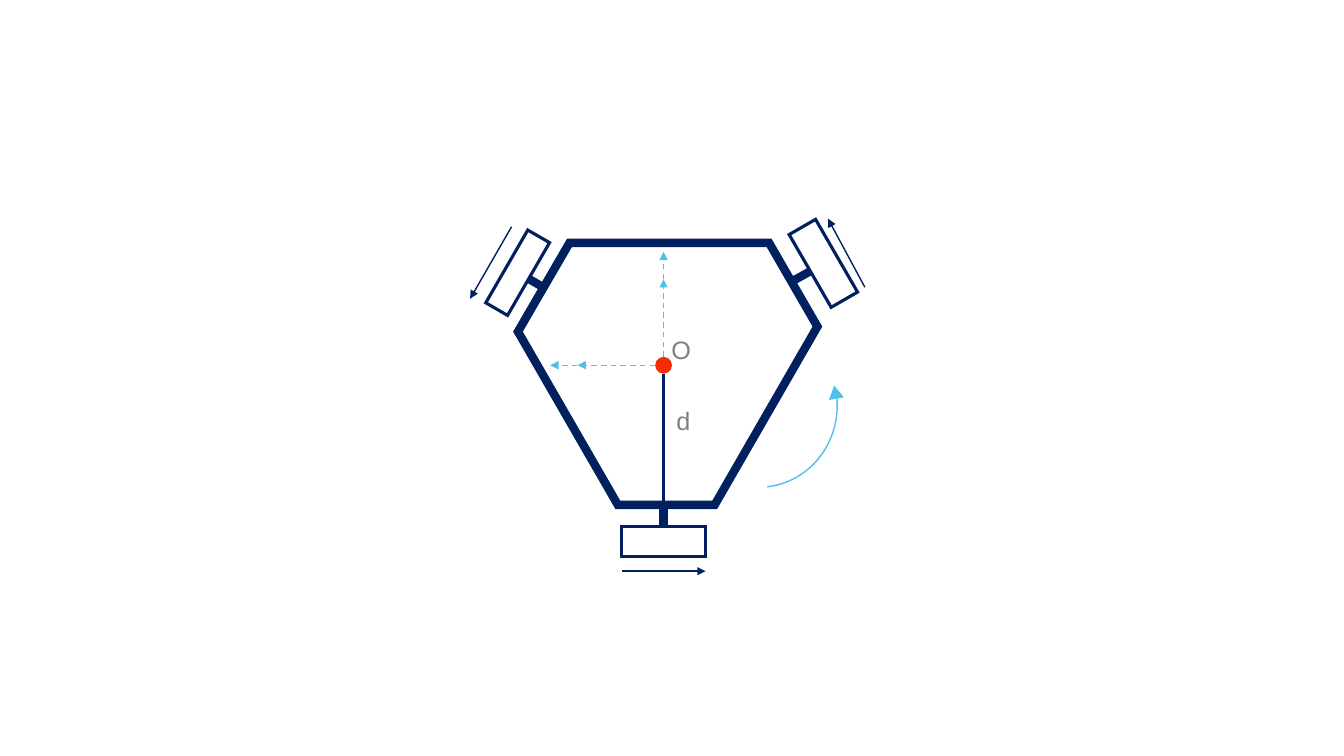
from dataclasses import dataclass

from lxml import etree
from pptx import Presentation
from pptx.dml.color import RGBColor
from pptx.enum.dml import MSO_LINE
from pptx.enum.shapes import MSO_CONNECTOR, MSO_SHAPE
from pptx.enum.text import MSO_AUTO_SIZE
from pptx.oxml.ns import qn
from pptx.util import Pt

ARC, OVAL = MSO_SHAPE.ARC, MSO_SHAPE.OVAL
RECT, HEAD = MSO_SHAPE.RECTANGLE, MSO_SHAPE.ISOSCELES_TRIANGLE
STRAIGHT, DASH = MSO_CONNECTOR.STRAIGHT, MSO_LINE.DASH
FIT = MSO_AUTO_SIZE.SHAPE_TO_FIT_TEXT


@dataclass(frozen=True)
class Theme:
    navy: str = "002060"
    sky: str = "4FC1E9"
    red: str = "F62D04"
    gray: str = "808080"
    font: str = "Arial"
    size: float = 18
    thick: float = 6
    mid: float = 2.25
    thin: float = 1


THEME = Theme()
# Robot centre, in points
MID_X, MID_Y = 474, 260.9
BODY = [(370, 236.9), (406.8, 173.5), (549.4, 173.5),
        (583.9, 233.3), (510.5, 360.7), (441.4, 360.7)]
# Wheel frame (left, top, width, height), turn, axle ends, drive arrow ends
WHEELS = [
    ((339.8, 185.8, 60, 18), 300, (378, 199.4, 388.1, 205.2),
     (365.4, 162, 335.8, 213.4)),
    ((558.1, 177.2, 60, 21.8), 60, (578.9, 193.7, 565.9, 200.9),
     (617.8, 205.2, 591.4, 156.2)),
    ((443.8, 375.8, 60, 21.8), 180, (MID_X, 375.8, MID_X, 360.7),
     (444.3, 408, 504, 408)),
]


def stroke(line, color, width):
    line.color.rgb = RGBColor.from_string(color)
    line.width = Pt(width)


def miter(shape):
    join = etree.SubElement(shape.line._get_or_add_ln(), qn("a:miter"))
    join.set("lim", "800000")


def add_line(slide, ends, color, width, dash=None, arrow=False):
    link = slide.shapes.add_connector(STRAIGHT, *[Pt(v) for v in ends])
    stroke(link.line, color, width)
    if dash:
        link.line.dash_style = dash
    if arrow:
        tail = etree.SubElement(link.line._get_or_add_ln(), qn("a:tailEnd"))
        tail.set("type", "triangle")
    etree.SubElement(link._element.spPr, qn("a:effectLst"))


def add_form(slide, kind, box, turn=0, fill=None, color=None, width=1):
    form = slide.shapes.add_shape(kind, *[Pt(v) for v in box])
    form.shadow.inherit = False
    form.rotation = turn
    if fill:
        form.fill.solid()
        form.fill.fore_color.rgb = RGBColor.from_string(fill)
    else:
        form.fill.background()
    if color:
        stroke(form.line, color, width)
        miter(form)
    else:
        form.line.fill.background()
    return form


def add_body(slide):
    first, *rest = [(Pt(x), Pt(y)) for x, y in BODY]
    pen = slide.shapes.build_freeform(*first)
    pen.add_line_segments(rest, close=True)
    body = pen.convert_to_shape()
    body.shadow.inherit = False
    body.fill.background()
    stroke(body.line, THEME.navy, THEME.thick)
    miter(body)


def add_text(slide, text, box, size=THEME.size, color=THEME.gray):
    label = slide.shapes.add_textbox(*[Pt(v) for v in box])
    frame = label.text_frame
    frame.margin_left = frame.margin_right = 0
    frame.margin_top = frame.margin_bottom = 0
    frame.word_wrap = False
    frame.auto_size = FIT
    run = frame.paragraphs[0].add_run()
    run.text = text
    run.font.name = THEME.font
    run.font.size = Pt(size)
    run.font.color.rgb = RGBColor.from_string(color)


def main():
    deck = Presentation()
    deck.slide_width, deck.slide_height = Pt(960), Pt(540)
    slide = deck.slides.add_slide(deck.slide_layouts[6])

    # Frame and wheels
    add_body(slide)
    for box, turn, axle, drive in WHEELS:
        add_form(slide, RECT, box, turn, color=THEME.navy, width=THEME.mid)
        add_line(slide, axle, THEME.navy, THEME.thick)
        add_line(slide, drive, THEME.navy, THEME.thin, arrow=True)

    # Centre point and distance to a wheel
    add_line(slide, (MID_X, 267.1, MID_X, 360.7), THEME.navy, THEME.mid)
    add_form(slide, OVAL, (MID_X - 6, MID_Y - 6, 12, 12), fill=THEME.red)

    # Axes with double heads
    for reach in (75, 55.5):
        top = MID_Y - 6
        add_line(slide, (MID_X, top, MID_X, top - reach),
                 THEME.sky, THEME.thin, DASH, True)
        left = MID_X - 6
        add_line(slide, (left, MID_Y, left - reach, MID_Y),
                 THEME.sky, THEME.thin, DASH, True)

    # Turning direction
    arc = add_form(slide, ARC, (482.4, 232.6, 118.1, 113), 83.6,
                   color=THEME.sky, width=THEME.thin)
    arc.adjustments[0] = 161.55
    arc.adjustments[1] = 0
    add_form(slide, HEAD, (591.3, 275.4, 10.8, 9.4), 350.1, fill=THEME.sky)

    # Labels
    add_text(slide, "d", (483.1, 289.4, 10, 21.6))
    add_text(slide, "O", (479.5, 239, 12.2, 21.6))

    deck.save("out.pptx")


if __name__ == "__main__":
    main()
